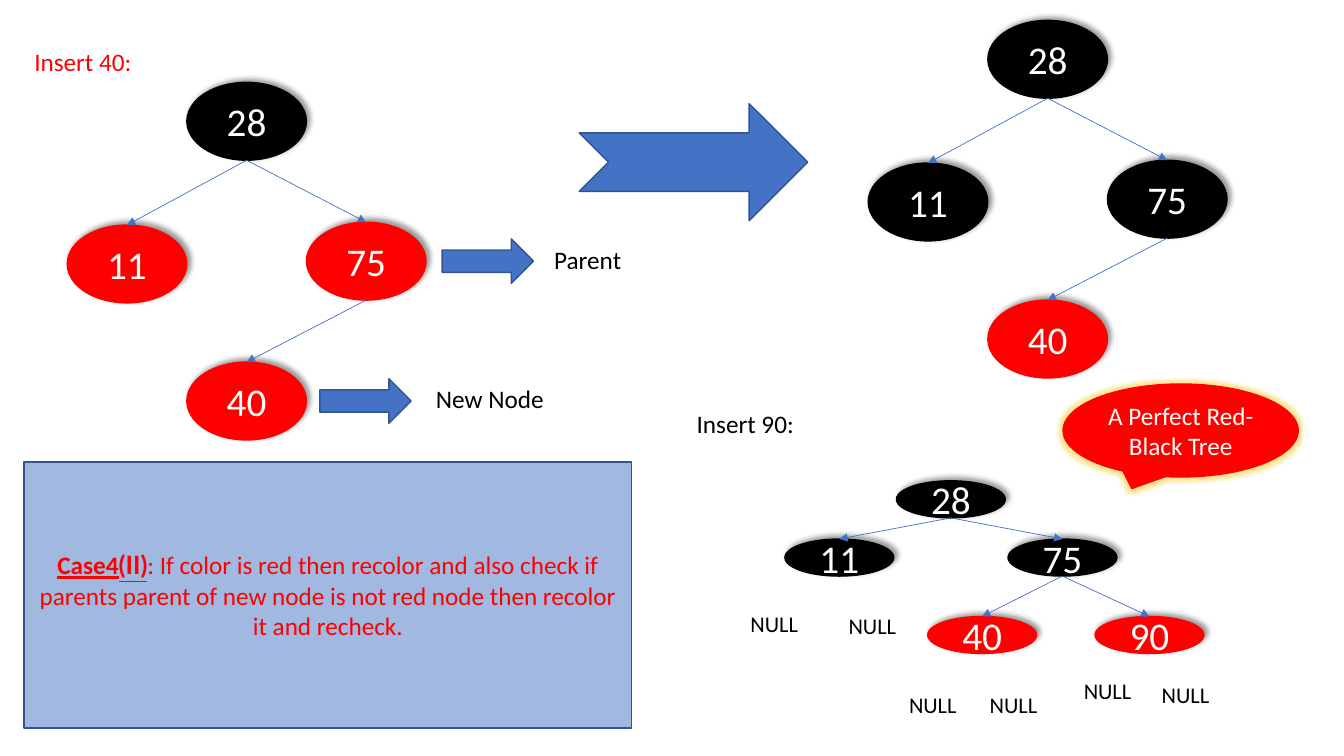
from lxml import etree
from pptx import Presentation
from pptx.dml.color import RGBColor
from pptx.enum.shapes import MSO_CONNECTOR, MSO_SHAPE
from pptx.enum.text import MSO_ANCHOR, MSO_AUTO_SIZE, PP_ALIGN
from pptx.oxml import parse_xml
from pptx.oxml.ns import qn
from pptx.util import Inches, Pt

LEFT, CENTER = PP_ALIGN.LEFT, PP_ALIGN.CENTER
TOP, MIDDLE = MSO_ANCHOR.TOP, MSO_ANCHOR.MIDDLE
OVAL, RECT = MSO_SHAPE.OVAL, MSO_SHAPE.RECTANGLE
ARROW, NOTCHED = MSO_SHAPE.RIGHT_ARROW, MSO_SHAPE.NOTCHED_RIGHT_ARROW
CALLOUT, STRAIGHT = MSO_SHAPE.OVAL_CALLOUT, MSO_CONNECTOR.STRAIGHT

COLORS = {"black": "000000", "red": "FF0000", "white": "FFFFFF",
          "blue": "4472C4", "navy": "325491", "gold": "FFC000"}
WIDE, HIGH = Inches(13.33), Inches(7.5)

# All places and sizes are percent of the slide's width and height.
TITLE = ("Insert 40:", (1.8, 5.5, 22, 5.3))
LABELS = [("Parent", 40.5, 31.6, 11.5), ("New Node", 31.7, 50.1, 9.7),
          ("Insert 90:", 51.1, 53.3, 15.2)]
NULLS = [(55.1, 80), (62.4, 80.3), (66.9, 90.8),
         (72.9, 90.8), (79.9, 88.9), (85.7, 89.5)]
ARROWS = [(ARROW, (32.9, 31.6, 6.8, 5.9)), (ARROW, (23.8, 50.1, 6.8, 5.9)),
          (NOTCHED, (43.1, 13.7, 17, 15.5))]
CASE_BOX = (1.8, 61.1, 45.2, 35.2)
CASE = [("Case4", {"bold": True, "underline": True}),
        ("(II)", {"bold": True, "underline": True, "font": "Lato"}),
        (": If color is red then recolor and also check if parents parent "
         "of new node is not red node then recolor it and recheck.", {})]
PRAISE = ("A Perfect Red-Black Tree", (79.1, 50.8, 17.5, 12.3))

# Nodes: value -> (column, row, parent), counted in steps from the root.
BIG = {"28": (0, 0, None), "11": (-1, 1.02, "28"),
       "75": (1, 1, "28"), "40": (0, 2, "75")}
SMALL = {"28": (0, 0, None), "11": (-1, 1, "28"), "75": (1, 1, "28"),
         "40": (0.28, 2.33, "75"), "90": (1.78, 2.33, "75")}
# Trees: nodes, root corner, step, node size, red values
TREES = [(BIG, (13.9, 10.9), (8.9, 18.5), (8.9, 10.3), {"11", "75", "40"}),
         (BIG, (73.5, 2.7), (8.9, 18.5), (8.9, 10.3), {"40"}),
         (SMALL, (66.7, 63.6), (8.3, 7.7), (8.1, 4.9), {"40", "90"})]

A = 'xmlns:a="http://schemas.openxmlformats.org/drawingml/2006/main"'
SHADOW = ('<a:outerShdw blurRad="50800" dist="38100" dir="18900000">'
          '<a:srgbClr val="%s"><a:alpha val="40000"/></a:srgbClr>'
          '</a:outerShdw>' % COLORS["black"])
GLOW = ('<a:glow rad="63500"><a:srgbClr val="%s"><a:alpha val="40000"/>'
        '</a:srgbClr></a:glow>' % COLORS["gold"])

prs = Presentation()
prs.slide_width, prs.slide_height = WIDE, HIGH
slide = prs.slides.add_slide(prs.slide_layouts[5])
shapes = slide.shapes


def rgb(name):
    return RGBColor.from_string(COLORS[name])


def place(x, y, w, h):
    return [int(part * full / 100)
            for part, full in zip((x, y, w, h), (WIDE, HIGH, WIDE, HIGH))]


def write(shape, runs, size=18, color="black", align=CENTER, anchor=MIDDLE):
    """Fill a shape with a string, or with (text, format) runs."""
    frame = shape.text_frame
    frame.word_wrap, frame.auto_size = True, MSO_AUTO_SIZE.NONE
    frame.vertical_anchor = anchor
    para = frame.paragraphs[0]
    para.alignment = align
    for text, style in [(runs, {})] if isinstance(runs, str) else runs:
        run = para.add_run()
        run.text = text
        font = run.font
        font.name, font.size = style.get("font", "Calibri"), Pt(size)
        font.bold = style.get("bold", False)
        font.underline = style.get("underline", False)
        font.color.rgb = rgb(color)


def effect(shape, xml=""):
    """Give a shape or connector exactly these effects."""
    shape._element.spPr.append(
        parse_xml(f"<a:effectLst {A}>{xml}</a:effectLst>"))


def draw(kind, box, fill, line, look=""):
    shape = shapes.add_shape(kind, *place(*box))
    shape.fill.solid()
    shape.fill.fore_color.rgb = rgb(fill)
    shape.line.color.rgb, shape.line.width = rgb(line), Pt(1)
    effect(shape, look)
    return shape


def label(text, x, y, w, h=5.3, size=18):
    box = shapes.add_textbox(*place(x, y, w, h))
    write(box, text, size=size, align=LEFT, anchor=TOP)


def link(parent, child):
    """Arrow from the bottom of one node to the top of another."""
    line = shapes.add_connector(
        STRAIGHT, parent.left + parent.width // 2, parent.top + parent.height,
        child.left + child.width // 2, child.top)
    line.end_connect(child, 0)
    line.line.color.rgb, line.line.width = rgb("blue"), Pt(0.5)
    etree.SubElement(line.line._get_or_add_ln(), qn("a:tailEnd"),
                     type="triangle")
    effect(line)


def tree(nodes, root, step, size, reds):
    """Draw the nodes and return the pairs to be linked."""
    made = {}
    for value, (col, row, _) in nodes.items():
        tint = "red" if value in reds else "black"
        box = (root[0] + col * step[0], root[1] + row * step[1], *size)
        made[value] = draw(OVAL, box, tint, tint, SHADOW)
        write(made[value], value, size=28, color="white")
    return [(made[up], made[value])
            for value, (_, _, up) in nodes.items() if up]


title = shapes.title
title.left, title.top, title.width, title.height = place(*TITLE[1])
write(title, TITLE[0], color="red", align=LEFT, anchor=TOP)

pairs = [pair for item in TREES for pair in tree(*item)]
for kind, box in ARROWS:
    draw(kind, box, "blue", "navy")
for item in LABELS:
    label(*item)
for x, y in NULLS:
    label("NULL", x, y, 5.5, h=4.9, size=16)

case = draw(RECT, CASE_BOX, "blue", "navy")
tint = case._element.spPr.find(qn("a:solidFill"))[0]
etree.SubElement(tint, qn("a:alpha"), val="50000")
write(case, CASE, color="red")

praise = draw(CALLOUT, PRAISE[1], "red", "red", GLOW)
write(praise, PRAISE[0], color="white")

for parent, child in pairs:
    link(parent, child)

prs.save("out.pptx")
